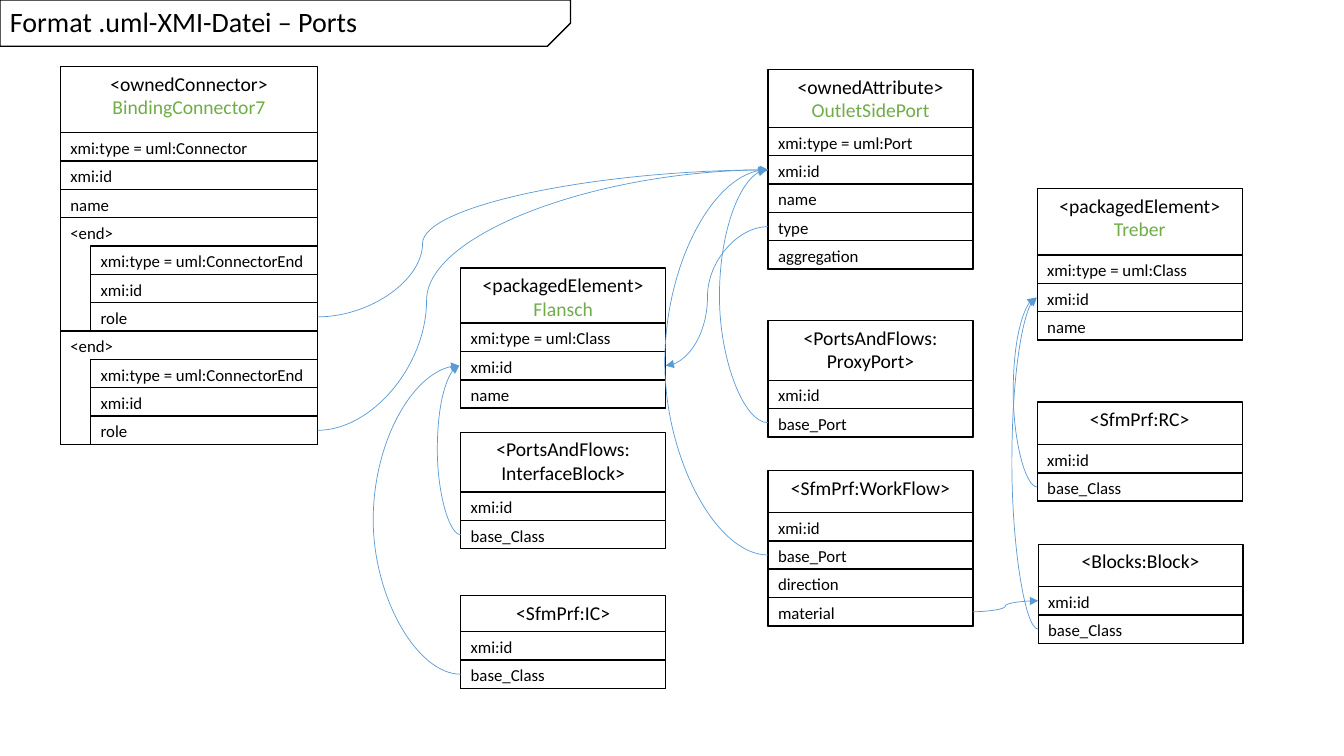
from lxml.etree import SubElement
from pptx import Presentation
from pptx.dml.color import RGBColor
from pptx.enum.shapes import MSO_CONNECTOR as Link, MSO_SHAPE as Preset
from pptx.enum.text import MSO_ANCHOR as Anchor, PP_ALIGN as Align
from pptx.oxml.ns import qn
from pptx.util import Inches, Pt

# Grid: 100 columns by 100 rows over the whole slide
WIDTH, HEIGHT = Inches(13.33), Inches(7.5)
FIELD_ROWS = 3.75
INDENT_COLS = 2.25
TABLE_COLS = 15.25
LEFT, MIDDLE, RIGHT = 34.28, 57.15, 77.18

BLACK, WHITE, GREEN, BLUE = "000000", "FFFFFF", "70AD47", "5B9BD5"
TITLE = {"name": "Calibri", "size": Pt(20)}
HEADING = {"name": "Calibri", "size": Pt(14)}
FIELD = {"name": "Calibri", "size": Pt(12)}

# Each nested entry: text, indent level, number of field rows spanned
END = [("<end>", 0, 4), ("xmi:type = uml:ConnectorEnd", 1, 1),
       ("xmi:id", 1, 1), ("role", 1, 1)]


def plain(*names):
    return [(name, 0, 1) for name in names]


# Key: box (column, row, columns, rows), heading, instance name, fields
ELEMENTS = {
    "port": ((MIDDLE, 9.2, TABLE_COLS, 26.4), "<ownedAttribute>", "OutletSidePort",
             plain("xmi:type = uml:Port", "xmi:id", "name", "type", "aggregation")),
    "flansch": ((LEFT, 35.47, TABLE_COLS, 18.53), "<packagedElement>", "Flansch",
                plain("xmi:type = uml:Class", "xmi:id", "name")),
    "proxy": ((MIDDLE, 42.4, TABLE_COLS, 15.4), "<PortsAndFlows:\vProxyPort>", None,
              plain("xmi:id", "base_Port")),
    "workflow": ((MIDDLE, 62.27, TABLE_COLS, 20.53), "<SfmPrf:WorkFlow>", None,
                 plain("xmi:id", "base_Port", "direction", "material")),
    "block": ((77.25, 72, TABLE_COLS, 13.1), "<Blocks:Block>", None,
              plain("xmi:id", "base_Class")),
    "rc": ((RIGHT, 53.2, TABLE_COLS, 13.1), "<SfmPrf:RC>", None,
           plain("xmi:id", "base_Class")),
    "treber": ((RIGHT, 24.93, TABLE_COLS, 20.07), "<packagedElement>", "Treber",
               plain("xmi:type = uml:Class", "xmi:id", "name")),
    "interface": ((LEFT, 57.2, TABLE_COLS, 15.4), "<PortsAndFlows:\vInterfaceBlock>", None,
                  plain("xmi:id", "base_Class")),
    "ic": ((LEFT, 78.8, TABLE_COLS, 12.27), "<SfmPrf:IC>", None,
           plain("xmi:id", "base_Class")),
    "connector": ((4.5, 8.8, 19.13, 50), "<ownedConnector>", "BindingConnector7",
                  plain("xmi:type = uml:Connector", "xmi:id", "name") + END + END),
}

# Start (element, field, side), end (element, field, side), column of the bend
REFERENCES = [
    (("port", 3, "left"), ("flansch", 1, "right"), 52.65),
    (("proxy", 1, "left"), ("port", 1, "left"), 53.55),
    (("workflow", 1, "left"), ("port", 1, "left"), 49.5),
    (("workflow", 3, "right"), ("block", 0, "left"), 74.8),
    (("block", 1, "left"), ("treber", 1, "left"), 75.3),
    (("rc", 1, "left"), ("treber", 1, "left"), 75.4),
    (("interface", 1, "left"), ("flansch", 1, "left"), 32.55),
    (("ic", 1, "left"), ("flansch", 1, "left"), 27.8),
    (("connector", 6, "right"), ("port", 1, "left"), 31.45),
    (("connector", 10, "right"), ("port", 1, "left"), 31.75),
]


def color(hex_code):
    return RGBColor.from_string(hex_code)


def cols(count):
    return int(WIDTH * count / 100)


def rows(count):
    return int(HEIGHT * count / 100)


def place(box):
    left, top, width, height = box
    return cols(left), rows(top), cols(width), rows(height)


def write(frame, lines, font, align=Align.LEFT, anchor=Anchor.TOP):
    frame.word_wrap, frame.vertical_anchor = True, anchor
    for number, (text, hex_code) in enumerate(lines):
        paragraph = frame.add_paragraph() if number else frame.paragraphs[0]
        paragraph.text, paragraph.alignment = text, align
        for run in paragraph.runs:
            for attribute, value in font.items():
                setattr(run.font, attribute, value)
            run.font.color.rgb = color(hex_code)


def add_box(slide, box, preset=Preset.RECTANGLE):
    shape = slide.shapes.add_shape(preset, *place(box))
    shape.shadow.inherit = False
    shape.fill.solid()
    shape.fill.fore_color.rgb = color(WHITE)
    shape.line.color.rgb = color(BLACK)
    shape.line.width = Pt(1)
    return shape


def add_title(slide, box, text):
    banner = add_box(slide, box, Preset.SNIP_1_RECTANGLE)
    banner.adjustments[0] = 0.5
    banner._element.spPr.xfrm.set("flipV", "1")
    label = slide.shapes.add_textbox(*place(box))
    write(label.text_frame, [(text, BLACK)], TITLE, anchor=Anchor.MIDDLE)
    label.text_frame.paragraphs[0].line_spacing = 0.9


def add_element(slide, box, heading, instance, fields):
    """Draw one element and return the docking points of its fields."""
    left, top, width, height = box
    lines = [(heading, BLACK)] + ([(instance, GREEN)] if instance else [])
    write(add_box(slide, box).text_frame, lines, HEADING, Align.CENTER)
    # Fields fill the box from its bottom edge upwards
    first = top + height - len(fields) * FIELD_ROWS
    docks = []
    for number, (text, level, span) in enumerate(fields):
        y, indent = first + number * FIELD_ROWS, level * INDENT_COLS
        field = add_box(slide, (left + indent, y, width - indent, span * FIELD_ROWS))
        write(field.text_frame, [(text, BLACK)], FIELD)
        docks.append({"left": left, "right": left + width, "y": y + FIELD_ROWS / 2})
    return docks


def add_reference(slide, docks, start, end, bend):
    (x1, y1), (x2, y2) = [(docks[key][number][side], docks[key][number]["y"])
                          for key, number, side in (start, end)]
    # The bend is a share of the width, so the width must not be zero
    if abs(x2 - x1) < 0.1:
        x2 = x1 - 0.1
    curve = slide.shapes.add_connector(
        Link.CURVE, cols(x1), rows(y1), cols(x2), rows(y2))
    curve.line.color.rgb = color(BLUE)
    curve.line.width = Pt(0.5)
    properties = curve._element.spPr
    guides = properties.find(qn("a:prstGeom")).get_or_add_avLst()
    share = round((bend - x1) / (x2 - x1) * 100000)
    SubElement(guides, qn("a:gd"), name="adj1", fmla=f"val {share}")
    SubElement(curve.line._get_or_add_ln(), qn("a:tailEnd"), type="triangle")
    SubElement(properties, qn("a:effectLst"))


def build_ports_slide(deck):
    slide = deck.slides.add_slide(deck.slide_layouts[6])
    add_title(slide, (0, 0, 42.45, 6.13), "Format .uml-XMI-Datei – Ports")
    docks = {key: add_element(slide, *parts) for key, parts in ELEMENTS.items()}
    for start, end, bend in REFERENCES:
        add_reference(slide, docks, start, end, bend)


deck = Presentation()
deck.slide_width, deck.slide_height = WIDTH, HEIGHT
build_ports_slide(deck)
deck.save("out.pptx")
